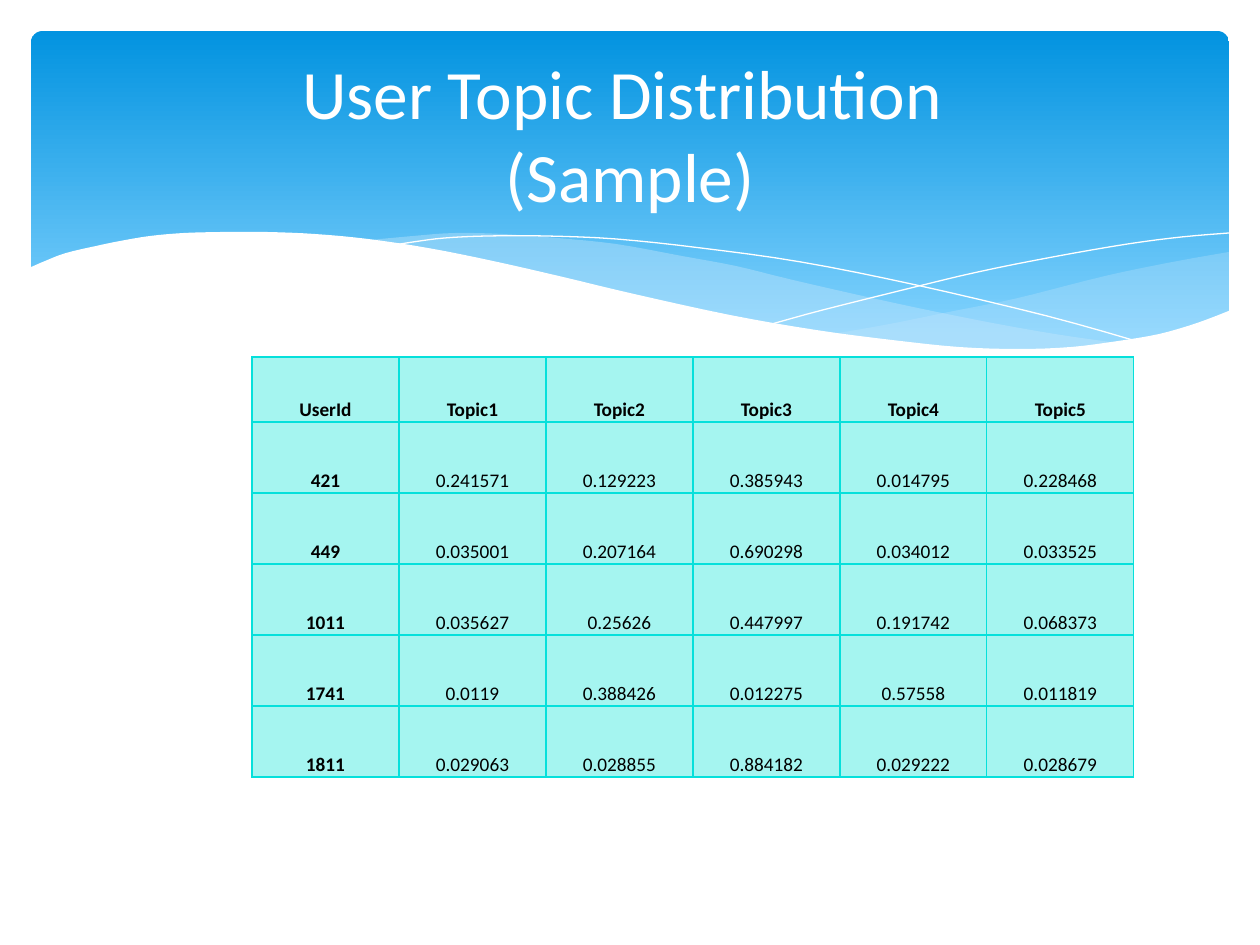
"""Build the user topic distribution slide."""
from lxml import etree
from pptx import Presentation, util as u
from pptx.dml.color import RGBColor
from pptx.enum import shapes, text
from pptx.oxml import ns

PX = 914400 / 126
FONT = "Calibri"
WHITE = RGBColor(0xFF, 0xFF, 0xFF)
BLACK = RGBColor(0, 0, 0)
SKY_TOP = RGBColor(0x02, 0x93, 0xE0)
SKY_BOTTOM = RGBColor(0x83, 0xD3, 0xFE)
MIST = RGBColor(0xC6, 0xE7, 0xFC)
CELL = RGBColor(0xA5, 0xF5, 0xF0)
GRID = RGBColor(0x05, 0xE0, 0xDB)

TITLE = "User Topic Distribution \v(Sample)"
ROWS = [
    ("UserId", "Topic1", "Topic2", "Topic3", "Topic4", "Topic5"),
    ("421", "0.241571", "0.129223", "0.385943", "0.014795", "0.228468"),
    ("449", "0.035001", "0.207164", "0.690298", "0.034012", "0.033525"),
    ("1011", "0.035627", "0.25626", "0.447997", "0.191742", "0.068373"),
    ("1741", "0.0119", "0.388426", "0.012275", "0.57558", "0.011819"),
    ("1811", "0.029063", "0.028855", "0.884182", "0.029222", "0.028679"),
]
TABLE_LEFT, TABLE_TOP, COLUMN_WIDTH = 252, 357, 147
HEADER_HEIGHT, ROW_HEIGHT = 65, 71

RIGHT_BAND = [
    [(1229, 252), (1178, 261), (1123, 272), (1085, 281), (1014, 299), (949, 312),
     (890, 324), (833, 334)],
    [(833, 334), (871, 339), (922, 345), (969, 349), (1026, 350), (1076, 348),
     (1120, 343), (1160, 334), (1196, 324), (1229, 311)],
]
MIDDLE_BAND = [
    [(1125, 344), (1055, 334), (977, 320), (890, 302), (793, 280), (736, 266),
     (682, 256), (616, 244), (557, 238), (503, 234), (455, 233), (413, 236), (360, 241)],
    [(360, 241), (431, 251), (509, 266), (566, 280), (668, 302), (757, 321),
     (838, 335), (910, 345), (974, 349), (1031, 350), (1080, 349), (1125, 344)],
]
FALLING_LINE = [
    [(389, 246), (413, 242), (445, 238), (488, 236), (546, 236), (616, 239),
     (701, 248), (801, 262), (916, 285), (1047, 316), (1143, 343)],
]
RISING_LINE = [
    [(772, 324), (823, 310), (907, 289), (978, 272), (1053, 257), (1128, 244),
     (1182, 237), (1229, 233)],
]
WHITE_WAVE = [
    [(1231, 310), (1197, 323), (1159, 334), (1118, 341), (1071, 347), (1019, 349),
     (959, 347), (892, 340), (816, 330), (730, 315), (634, 294), (563, 277),
     (493, 261), (428, 248), (368, 239), (315, 234), (266, 232), (223, 232),
     (184, 233), (150, 236), (120, 241), (96, 246), (66, 253), (45, 261), (29, 268)],
    [(29, 415), (1231, 415)],
]
WAVES = [
    (RIGHT_BAND, MIST, 29),
    (MIDDLE_BAND, MIST, 40),
    (FALLING_LINE, None, None),
    (RISING_LINE, None, None),
    (WHITE_WAVE, WHITE, 100),
]


def px(*values):
    return [u.Emu(round(value * PX)) for value in values]


def smooth(knots, steps=4):
    """Return points on a Catmull-Rom curve through the knots."""
    padded = [knots[0], *knots, knots[-1]]
    points = [knots[0]]
    for a, b, c, d in zip(padded, padded[1:], padded[2:], padded[3:]):
        for step in range(1, steps + 1):
            t = step / steps
            points.append(tuple(
                (2 * q + (r - p) * t + (2 * p - 5 * q + 4 * r - s) * t ** 2
                 + (3 * q - p - 3 * r + s) * t ** 3) / 2
                for p, q, r, s in zip(a, b, c, d)))
    return points


def add_wave(page, curves, color, opacity):
    points = [px(*point) for curve in curves for point in smooth(curve)]
    builder = page.shapes.build_freeform(*points[0])
    builder.add_line_segments(points[1:], close=color is not None)
    wave = builder.convert_to_shape()
    wave.shadow.inherit = False
    if color is None:
        wave.fill.background()
        wave.line.color.rgb = WHITE
        wave.line.width = 0
        return
    wave.fill.solid()
    wave.fill.fore_color.rgb = color
    wave.line.fill.background()
    if opacity < 100:
        tint = wave.fill._xPr.find(".//" + ns.qn("a:srgbClr"))
        etree.SubElement(tint, ns.qn("a:alpha"), val=str(opacity * 1000))


def set_borders(cell):
    properties = cell._tc.get_or_add_tcPr()
    for index, side in enumerate(("lnL", "lnR", "lnT", "lnB")):
        border = etree.Element(ns.qn("a:" + side), w=str(u.Pt(0.75)))
        fill = etree.SubElement(border, ns.qn("a:solidFill"))
        etree.SubElement(fill, ns.qn("a:srgbClr"), val=str(GRID))
        properties.insert(index, border)


def style(para, size, color, bold=False):
    para.alignment = text.PP_ALIGN.CENTER
    para.font.name, para.font.size, para.font.bold = FONT, u.Pt(size), bold
    para.font.color.rgb = color


def add_topic_table(page):
    heights = [HEADER_HEIGHT] + [ROW_HEIGHT] * (len(ROWS) - 1)
    columns = len(ROWS[0])
    table = page.shapes.add_table(
        len(ROWS), columns,
        *px(TABLE_LEFT, TABLE_TOP, COLUMN_WIDTH * columns, sum(heights))).table
    for column in table.columns:
        column.width, = px(COLUMN_WIDTH)
    for row_index, (values, height) in enumerate(zip(ROWS, heights)):
        table.rows[row_index].height, = px(height)
        for column_index, value in enumerate(values):
            cell = table.cell(row_index, column_index)
            cell.text = value
            cell.vertical_anchor = text.MSO_ANCHOR.BOTTOM
            cell.margin_left, cell.margin_right, cell.margin_top, cell.margin_bottom = px(1, 1, 1, 0)
            cell.fill.solid()
            cell.fill.fore_color.rgb = CELL
            set_borders(cell)
            style(cell.text_frame.paragraphs[0], 11, BLACK, row_index == 0 or column_index == 0)


deck = Presentation()
deck.slide_width, deck.slide_height = px(1260, 945)
page = deck.slides.add_slide(deck.slide_layouts[6])

banner = page.shapes.add_shape(shapes.MSO_SHAPE.ROUNDED_RECTANGLE, *px(31, 31, 1198, 340))
banner.adjustments[0] = 0.034
banner.shadow.inherit = False
banner.line.fill.background()
banner.fill.gradient()
banner.fill.gradient_angle = 270
for stop, color, position in zip(banner.fill.gradient_stops, (SKY_TOP, SKY_BOTTOM), (0, 0.9)):
    stop.color.rgb, stop.position = color, position

for wave in WAVES:
    add_wave(page, *wave)
add_topic_table(page)

box = page.shapes.add_textbox(*px(63, 47, 1134, 173))
box.text_frame.word_wrap = True
box.text_frame.vertical_anchor = text.MSO_ANCHOR.MIDDLE
box.text_frame.text = TITLE
style(box.text_frame.paragraphs[0], 39.6, WHITE)

deck.save("out.pptx")
